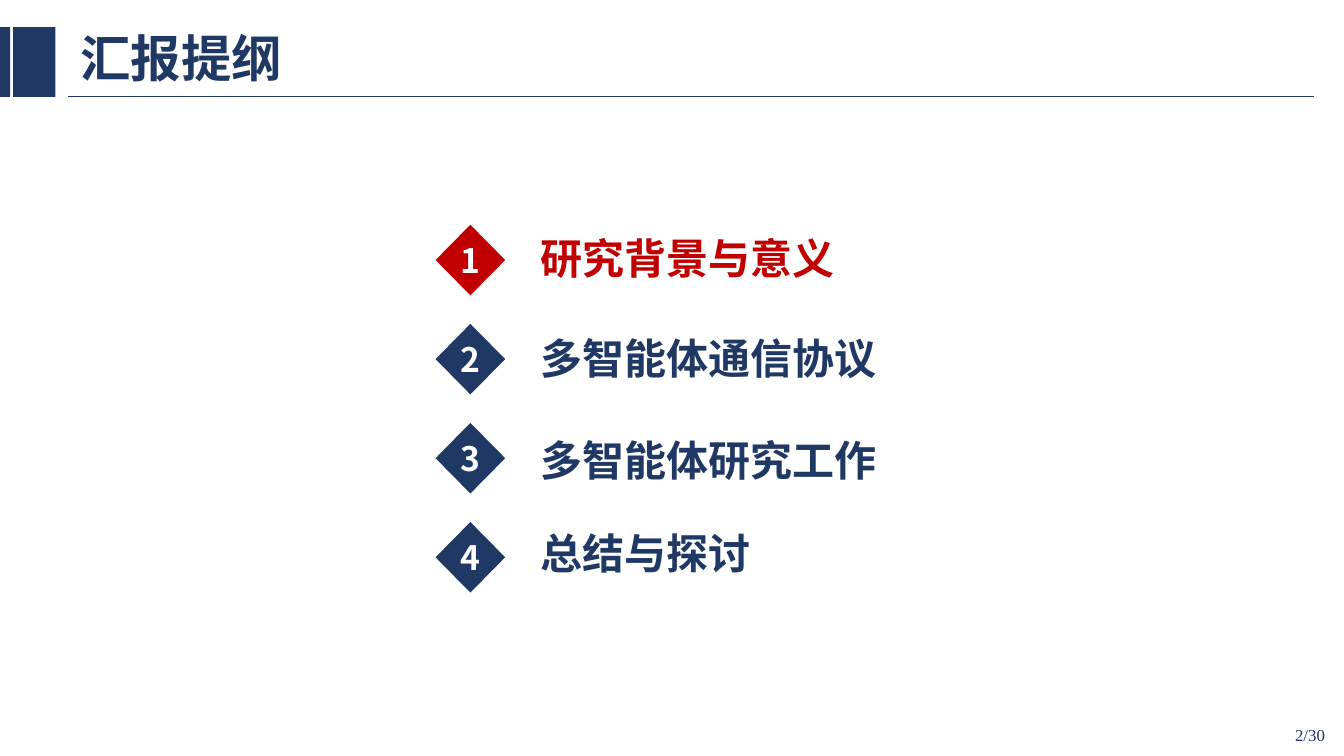
from dataclasses import dataclass

from pptx import Presentation
from pptx.dml.color import RGBColor
from pptx.enum.shapes import MSO_CONNECTOR, MSO_SHAPE
from pptx.enum.text import MSO_ANCHOR as ANCHOR, PP_ALIGN as ALIGN
from pptx.oxml.ns import qn
from pptx.util import Inches, Pt
from lxml.etree import SubElement


@dataclass(frozen=True)
class Theme:
    navy: RGBColor = RGBColor(0x20, 0x38, 0x64)
    red: RGBColor = RGBColor(0xC0, 0x00, 0x00)
    white: RGBColor = RGBColor(0xFF, 0xFF, 0xFF)
    heading_font: str = "Noto Sans CJK SC"
    number_font: str = "Times New Roman"
    title_size: int = 36
    topic_size: int = 30
    badge_size: int = 24
    page_size: int = 12


theme = Theme()


def write(shape, text, size, color, align=ALIGN.LEFT, anchor=ANCHOR.MIDDLE,
          face=theme.heading_font, bold=True):
    frame = shape.text_frame
    frame.word_wrap = True
    frame.vertical_anchor = anchor
    line = frame.paragraphs[0]
    line.text = text
    line.alignment = align
    line.font.size = Pt(size)
    line.font.bold = bold
    line.font.color.rgb = color
    line.font.name = face
    # Chinese characters take their typeface from a:ea
    SubElement(line._p.pPr.find(qn("a:defRPr")), qn("a:ea"), typeface=face)
    return line


def add_block(kind, left, top, width, height, color):
    block = slide.shapes.add_shape(kind, Inches(left), Inches(top),
                                   Inches(width), Inches(height))
    block.shadow.inherit = False
    block.fill.solid()
    block.fill.fore_color.rgb = color
    block.line.fill.background()
    return block


deck = Presentation()
deck.slide_width, deck.slide_height = Inches(13.33), Inches(7.5)
slide = deck.slides.add_slide(deck.slide_layouts[6])

# Header: rule, two side bars and title
rule = slide.shapes.add_connector(MSO_CONNECTOR.STRAIGHT, Inches(0.67), Inches(0.96),
                                  Inches(13.03), Inches(0.96))
rule.line.color.rgb = theme.navy
rule.line.width = Pt(1)
SubElement(rule._element.spPr, qn("a:effectLst"))

for bar_left, bar_width in ((0, 0.1), (0.13, 0.42)):
    add_block(MSO_SHAPE.RECTANGLE, bar_left, 0.27, bar_width, 0.69, theme.navy)

title = slide.shapes.add_textbox(Inches(0.7), Inches(0.21), Inches(2.69), Inches(0.8))
write(title, "汇报提纲", theme.title_size, theme.navy).line_spacing = 0.9

# Outline: numbered diamonds at an even pitch, the current topic in red
topics = (
    ("研究背景与意义", 2.26),
    ("多智能体通信协议", 3.25),
    ("多智能体研究工作", 4.26),
    ("总结与探讨", 5.18),
)
current_topic = 1
first_top, pitch = 2.23, 0.983

for number, (topic, topic_top) in enumerate(topics, start=1):
    color = theme.red if number == current_topic else theme.navy
    badge = add_block(MSO_SHAPE.DIAMOND, 4.32, first_top + (number - 1) * pitch,
                      0.69, 0.7, color)
    badge.text_frame.margin_left = badge.text_frame.margin_right = 0
    badge.text_frame.margin_top = badge.text_frame.margin_bottom = 0
    write(badge, str(number), theme.badge_size, theme.white, ALIGN.CENTER)

    label = slide.shapes.add_textbox(Inches(5.26), Inches(topic_top),
                                     Inches(6.35), Inches(0.61))
    write(label, topic, theme.topic_size, color, anchor=ANCHOR.TOP)

# Page number
page = slide.shapes.add_textbox(Inches(10.24), Inches(7.09), Inches(3), Inches(0.4))
write(page, "2/30", theme.page_size, theme.navy, ALIGN.RIGHT,
      face=theme.number_font, bold=False)

deck.save("out.pptx")
